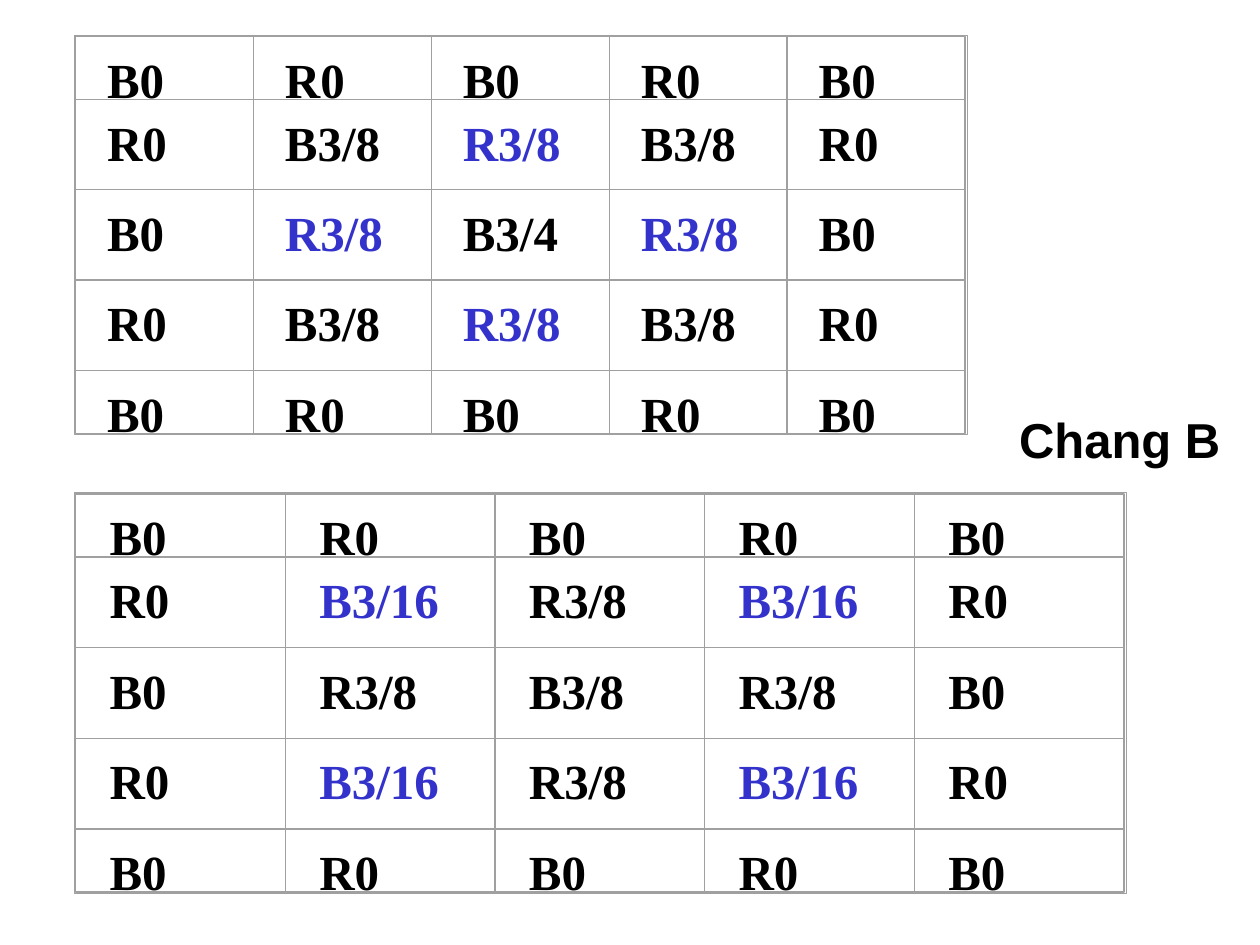
from itertools import accumulate

from pptx import Presentation
from pptx.dml.color import RGBColor
from pptx.enum import shapes, text
from pptx.util import Inches, Pt

BLACK = RGBColor(0x00, 0x00, 0x00)
BLUE = RGBColor(0x33, 0x33, 0xCC)
GRAY = RGBColor(0xA0, 0xA0, 0xA0)
EDGE_ROW = 0.5

RED_CHANGE = (
    "B0 R0 B0 R0 B0",
    "R0 B3/8 R3/8 B3/8 R0",
    "B0 R3/8 B3/4 R3/8 B0",
    "R0 B3/8 R3/8 B3/8 R0",
    "B0 R0 B0 R0 B0",
)
BLUE_CHANGE = (
    "B0 R0 B0 R0 B0",
    "R0 B3/16 R3/8 B3/16 R0",
    "B0 R3/8 B3/8 R3/8 B0",
    "R0 B3/16 R3/8 B3/16 R0",
    "B0 R0 B0 R0 B0",
)


def write_text(tf, content, font="Times New Roman", size=28, color=BLACK, bold=True):
    """Write one left-aligned formatted run into a text frame."""
    p = tf.paragraphs[0]
    p.alignment = text.PP_ALIGN.LEFT
    r = p.add_run()
    r.text = content
    r.font.name, r.font.size, r.font.bold = font, Pt(size), bold
    r.font.color.rgb = color


def add_outline(group, left, top, width, height, line_width=0):
    """Add an unfilled gray rectangle to a group."""
    sp = group.shapes.add_shape(shapes.MSO_SHAPE.RECTANGLE, Inches(left), Inches(top),
                                Inches(width), Inches(height))
    sp.shadow.inherit = False
    sp.fill.background()
    sp.line.color.rgb = GRAY
    sp.line.width = Pt(line_width)
    return sp


def add_pixel_grid(s, left, top, width, height, rows, highlight, indent):
    """Place a grid of pixel weights, coloring the highlighted weight blue."""
    group = s.shapes.add_group_shape()
    inner_row = (height - 2 * EDGE_ROW) / (len(rows) - 2)
    heights = [EDGE_ROW] + [inner_row] * (len(rows) - 2) + [EDGE_ROW]
    tops = accumulate(heights[:-1], initial=top)
    for row, row_top, row_height in zip(rows, tops, heights):
        values = row.split()
        cell_width = width / len(values)
        for j, value in enumerate(values):
            sp = add_outline(group, left + j * cell_width, row_top, cell_width, row_height)
            tf = sp.text_frame
            tf.vertical_anchor = text.MSO_ANCHOR.TOP
            tf.word_wrap = True
            tf.margin_left, tf.margin_top = Inches(indent), Inches(0.1)
            tf.margin_right = tf.margin_bottom = 0
            write_text(tf, value, color=BLUE if value == highlight else BLACK)
    add_outline(group, left - 0.01, top - 0.01, width + 0.03, height + 0.02, line_width=0.75)


def add_label(s, left, top, width, height):
    """Place the label that names the change."""
    tf = s.shapes.add_textbox(Inches(left), Inches(top),
                              Inches(width), Inches(height)).text_frame
    tf.word_wrap = False
    tf.auto_size = text.MSO_AUTO_SIZE.SHAPE_TO_FIT_TEXT
    write_text(tf, "Chang B", font="Arial")


def main():
    """Build the slide and save it."""
    prs = Presentation()
    prs.slide_width, prs.slide_height = Inches(10), Inches(7.5)
    s = prs.slides.add_slide(prs.slide_layouts[6])
    add_pixel_grid(s, 0.6, 3.92, 8.32, 3.16, BLUE_CHANGE, "B3/16", 0.27)
    add_label(s, 7.99, 3.2, 1.8, 0.57)
    add_pixel_grid(s, 0.6, 0.29, 7.06, 3.15, RED_CHANGE, "R3/8", 0.25)
    prs.save("out.pptx")


if __name__ == "__main__":
    main()
